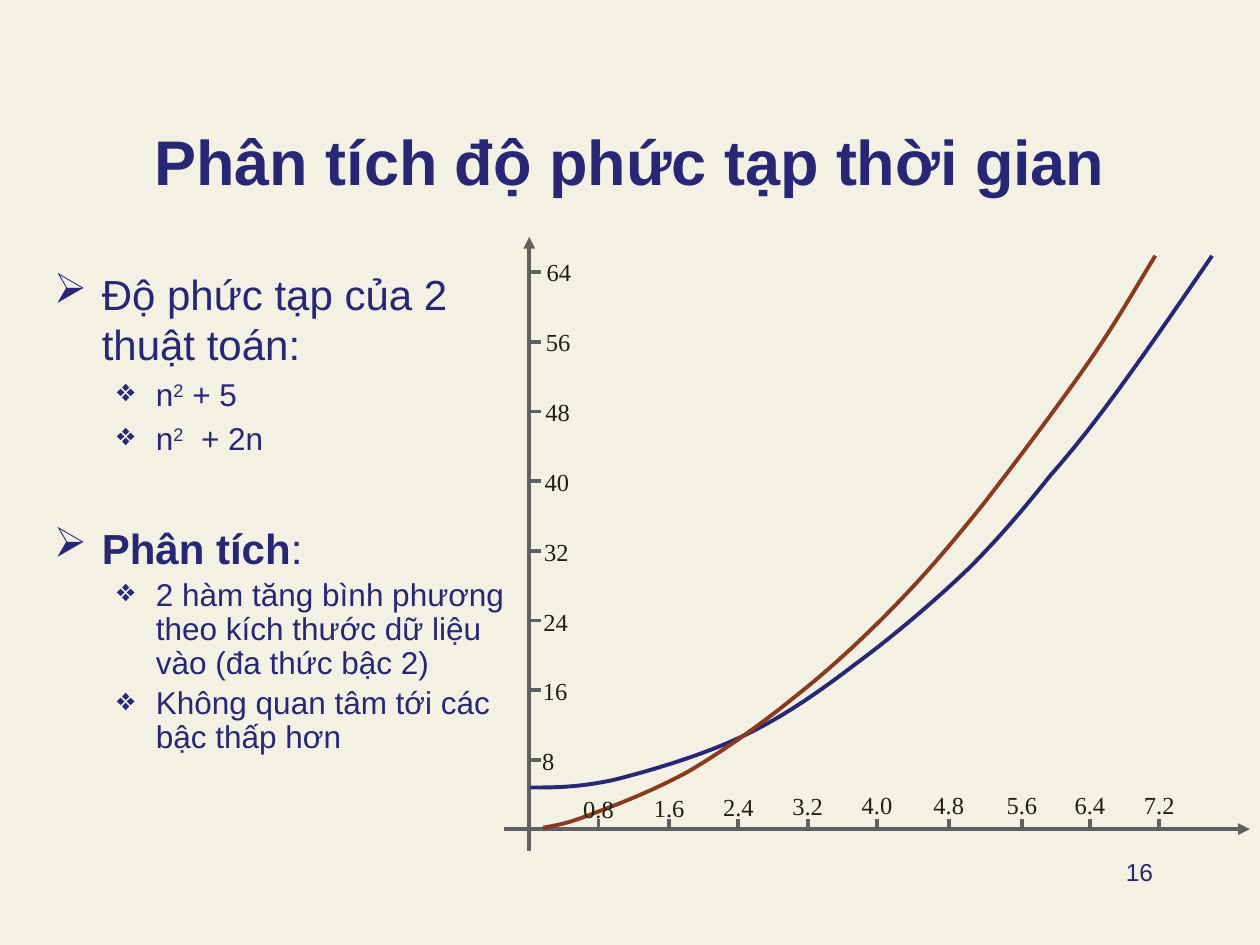
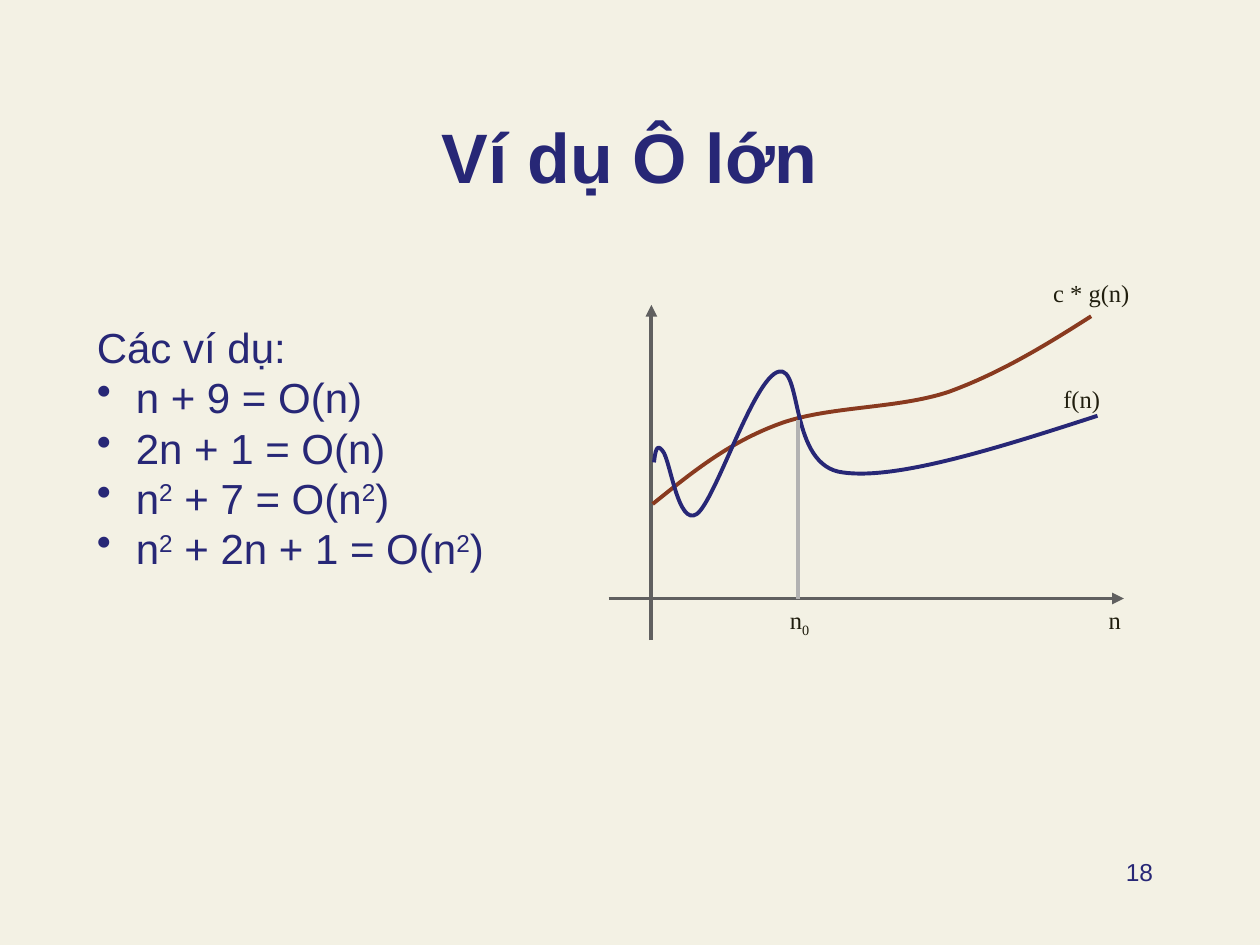
from pptx import Presentation
from pptx.dml.color import RGBColor
from pptx.enum.shapes import MSO_CONNECTOR
from pptx.enum.text import MSO_ANCHOR, PP_ALIGN
from pptx.oxml.ns import qn
from pptx.oxml.xmlchemy import OxmlElement
from pptx.util import Inches, Pt

STRAIGHT = MSO_CONNECTOR.STRAIGHT
BOTTOM, TOP = MSO_ANCHOR.BOTTOM, MSO_ANCHOR.TOP
LEFT, CENTER, RIGHT = PP_ALIGN.LEFT, PP_ALIGN.CENTER, PP_ALIGN.RIGHT

CREAM = RGBColor(0xF3, 0xF1, 0xE4)
NAVY = RGBColor(0x27, 0x27, 0x76)
RUST = RGBColor(0x89, 0x3A, 0x1F)
AXIS_GRAY = RGBColor(0x60, 0x60, 0x60)
GUIDE_GRAY = RGBColor(0xB2, 0xB2, 0xB2)
INK = RGBColor(0x20, 0x1E, 0x0E)
SANS, SERIF = "Arial", "Times New Roman"

# A run is (text, baseline shift in percent); a paragraph is (style, runs).
SQUARED = ("2", 30)
SUB_ZERO = ("0", -25)

STYLES = {
    "plain": dict(size=24),
    "dot": dict(size=24, bullet="•", margin=0.31, hang=0.31),
    "arrow": dict(size=24, bullet="➢", margin=0.38, hang=0.38),
    "next arrow": dict(size=24, bullet="➢", margin=0.38, hang=0.38, before=37.2),
    "diamond": dict(size=18, bullet="❖", margin=0.81, hang=0.31, before=3.6, level=1),
    "tight diamond": dict(size=18, bullet="❖", margin=0.81, hang=0.31, before=3.6,
                          level=1, spacing=0.9),
}

COMPLEXITY = {
    "title": "Phân tích độ phức tạp thời gian",
    "title_size": 36,
    "page": "16",
    "body_box": (0.33, 2.08, 3.83, 4.92),
    "body": [
        ("arrow", [("Độ phức tạp của 2 thuật toán:", 0)]),
        ("diamond", [("n", 0), SQUARED, (" + 5", 0)]),
        ("diamond", [("n", 0), SQUARED, ("  + 2n", 0)]),
        ("next arrow", [("Phân tích", 0, True), (":", 0)]),
        ("tight diamond", [("2 hàm tăng bình phương theo kích thước dữ liệu vào "
                            "(đa thức bậc 2)", 0)]),
        ("tight diamond", [("Không quan tâm tới các bậc thấp hơn", 0)]),
    ],
    "axes": [((4.2, 6.75), (4.2, 1.88)), ((4, 6.58), (9.92, 6.58))],
    "curves": [
        (NAVY, [(4.21, 6.25),
                (4.4, 6.25), (4.59, 6.25), (4.87, 6.19),
                (5.15, 6.12), (5.56, 6), (5.88, 5.85),
                (6.2, 5.7), (6.49, 5.5), (6.79, 5.27),
                (7.09, 5.05), (7.43, 4.76), (7.69, 4.51),
                (7.94, 4.26), (8.14, 4.02), (8.34, 3.77),
                (8.55, 3.53), (8.72, 3.31), (8.93, 3.02),
                (9.14, 2.73), (9.38, 2.38), (9.62, 2.03)]),
        (RUST, [(4.31, 6.57),
                (4.41, 6.55), (4.5, 6.54), (4.7, 6.46),
                (4.89, 6.39), (5.2, 6.27), (5.47, 6.12),
                (5.74, 5.96), (6.04, 5.75), (6.31, 5.53),
                (6.59, 5.31), (6.88, 5.04), (7.13, 4.78),
                (7.37, 4.53), (7.54, 4.33), (7.79, 4.02),
                (8.04, 3.7), (8.4, 3.22), (8.63, 2.89),
                (8.86, 2.56), (9.01, 2.29), (9.17, 2.03)]),
    ],
}
Y_VALUES = range(64, 0, -8)
X_TICKS = {"0.8": 4.75, "1.6": 5.31, "2.4": 5.86, "3.2": 6.41, "4.0": 6.96,
           "4.8": 7.53, "5.6": 8.11, "6.4": 8.65, "7.2": 9.2}

BIG_O = {
    "title": "Ví dụ Ô lớn",
    "title_size": 40,
    "page": "18",
    "body_box": (0.67, 2.5, 4.33, 2.12),
    "body": [
        ("plain", [("Các ví dụ:", 0)]),
        ("dot", [("n + 9 = O(n)", 0)]),
        ("dot", [("2n + 1 = O(n)", 0)]),
        ("dot", [("n", 0), SQUARED, (" + 7 = O(n", 0), SQUARED, (")", 0)]),
        ("dot", [("n", 0), SQUARED, (" + 2n + 1 = O(n", 0), SQUARED, (")", 0)]),
    ],
    "axes": [((5.17, 5.08), (5.17, 2.42)), ((4.83, 4.75), (8.92, 4.75))],
    "curves": [
        (RUST, [(5.18, 4),
                (5.48, 3.76), (5.77, 3.52), (6.17, 3.37),
                (6.56, 3.22), (7.11, 3.25), (7.53, 3.11),
                (7.94, 2.96), (8.3, 2.74), (8.66, 2.51)]),
        (NAVY, [(5.19, 3.67),
                (5.2, 3.59), (5.21, 3.51), (5.26, 3.58),
                (5.32, 3.65), (5.38, 4.18), (5.53, 4.08),
                (5.68, 3.97), (5.98, 3), (6.18, 2.95),
                (6.37, 2.9), (6.26, 3.7), (6.69, 3.75),
                (7.11, 3.81), (7.91, 3.56), (8.71, 3.3)]),
    ],
}
BIG_O_LABELS = [
    (8.26, 2.16, 0.81, [("c * g(n)", 0)]),
    (8.34, 3, 0.49, [("f(n)", 0)]),
    (6.17, 4.75, 0.36, [("n", 0), SUB_ZERO]),
    (8.7, 4.75, 0.3, [("n", 0)]),
]
N0_LINE = ((6.33, 3.33), (6.33, 4.75))


def add_text_frame(slide, box, wrap=True, anchor=TOP):
    frame = slide.shapes.add_textbox(*map(Inches, box)).text_frame
    frame.word_wrap = wrap
    frame.vertical_anchor = anchor
    return frame


def fill_paragraph(paragraph, runs, size, font=SANS, color=NAVY, bold=False, align=LEFT):
    paragraph.alignment = align
    for text, shift, *emphasis in runs:
        run = paragraph.add_run()
        run.text = text
        run.font.name = font
        run.font.size = Pt(size)
        run.font.bold = bold or bool(emphasis)
        run.font.color.rgb = color
        if shift:
            run.font._element.set("baseline", str(shift * 1000))


def add_body(slide, box, paragraphs):
    frame = add_text_frame(slide, box)
    for i, (style_name, runs) in enumerate(paragraphs):
        style = STYLES[style_name]
        paragraph = frame.add_paragraph() if i else frame.paragraphs[0]
        fill_paragraph(paragraph, runs, style["size"])
        paragraph.level = style.get("level", 0)
        paragraph.space_before = Pt(style.get("before", 0))
        paragraph.line_spacing = style.get("spacing", 1.0)
        if "bullet" in style:
            properties = paragraph._p.get_or_add_pPr()
            properties.set("marL", str(Inches(style["margin"])))
            properties.set("indent", str(-Inches(style["hang"])))
            bullet = OxmlElement("a:buChar")
            bullet.set("char", style["bullet"])
            properties.append(bullet)


def add_label(slide, left, top, width, runs):
    frame = add_text_frame(slide, (left, top, width, 0.34), wrap=False)
    fill_paragraph(frame.paragraphs[0], runs, 14, SERIF, INK)


def add_line(slide, start, end, color=AXIS_GRAY, arrow=False):
    line = slide.shapes.add_connector(STRAIGHT, *map(Inches, (*start, *end)))
    line.line.color.rgb = color
    line.line.width = Pt(2.25)
    if arrow:
        head = OxmlElement("a:tailEnd")
        head.set("type", "triangle")
        line.line._get_or_add_ln().append(head)
    line._element.spPr.append(OxmlElement("a:effectLst"))


def add_curve(slide, color, points):
    """Draw a chain of cubic Béziers: a start, then two handles and an end for each."""
    start, *rest = [(Inches(x), Inches(y)) for x, y in points]
    builder = slide.shapes.build_freeform(*start)
    builder.add_line_segments(rest, close=False)
    curve = builder.convert_to_shape()
    segments = list(curve._element.iter(qn("a:lnTo")))
    for i in range(0, len(segments), 3):
        bezier = OxmlElement("a:cubicBezTo")
        segments[i].addprevious(bezier)
        for segment in segments[i:i + 3]:
            bezier.append(segment[0])
            segment.getparent().remove(segment)
    curve.fill.background()
    curve.line.color.rgb = color
    curve.line.width = Pt(2.25)
    curve.shadow.inherit = False


def add_graph_slide(deck, content):
    """Add what both slides share: background, title, body, page number, axes, curves."""
    slide = deck.slides.add_slide(deck.slide_layouts[6])
    slide.background.fill.solid()
    slide.background.fill.fore_color.rgb = CREAM
    title = add_text_frame(slide, (0.75, 0.54, 8.5, 1.08), anchor=BOTTOM)
    fill_paragraph(title.paragraphs[0], [(content["title"], 0)], content["title_size"],
                   bold=True, align=CENTER)
    add_body(slide, content["body_box"], content["body"])
    page = add_text_frame(slide, (7.17, 6.75, 2.08, 0.5))
    fill_paragraph(page.paragraphs[0], [(content["page"], 0)], 14, align=RIGHT)
    for start, end in content["axes"]:
        add_line(slide, start, end, arrow=True)
    for color, points in content["curves"]:
        add_curve(slide, color, points)
    return slide


def add_scales(slide):
    for i, value in enumerate(Y_VALUES):
        tick_y = 2.16 + 0.553 * i
        add_line(slide, (4.21, tick_y), (4.29, tick_y))
        add_label(slide, 4.24 - 0.005 * i, 1.99 + 0.555 * i, 0.4 if value > 9 else 0.3,
                  [(str(value), 0)])
    for i, (value, tick_x) in enumerate(X_TICKS.items()):
        add_line(slide, (tick_x, 6.58), (tick_x, 6.5))
        add_label(slide, tick_x - 0.22, max(6.25 - 0.007 * i, 6.22), 0.45, [(value, 0)])


def main():
    deck = Presentation()
    deck.slide_width, deck.slide_height = Inches(10), Inches(7.5)

    add_scales(add_graph_slide(deck, COMPLEXITY))

    big_o = add_graph_slide(deck, BIG_O)
    add_line(big_o, *N0_LINE, color=GUIDE_GRAY)
    for label in BIG_O_LABELS:
        add_label(big_o, *label)

    deck.save("out.pptx")


if __name__ == "__main__":
    main()
